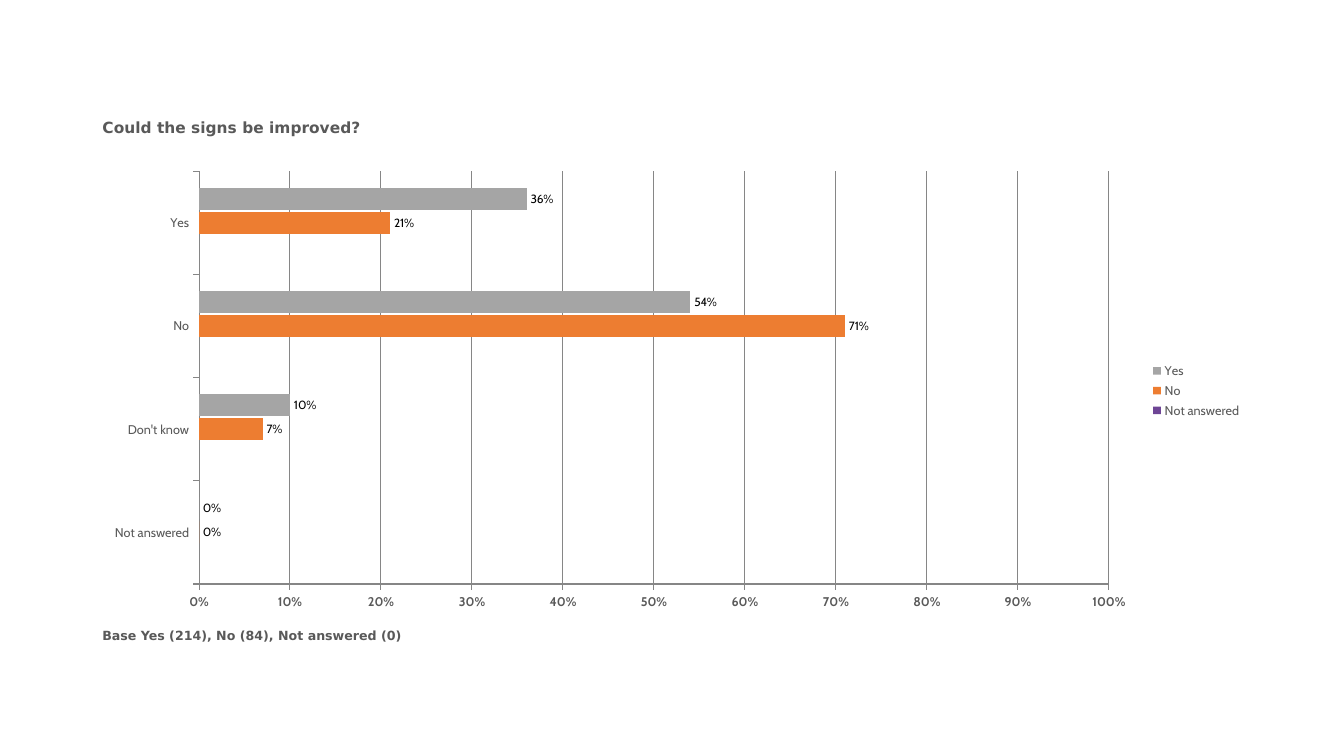
from pptx import Presentation
from pptx.chart.data import CategoryChartData
from pptx.dml.color import RGBColor
from pptx.enum.chart import (XL_CHART_TYPE as CHART, XL_LABEL_POSITION as LABEL_POS,
                             XL_LEGEND_POSITION as LEGEND_POS, XL_TICK_LABEL_POSITION as TICK_POS,
                             XL_TICK_MARK as TICK)
from pptx.enum.text import MSO_ANCHOR, MSO_AUTO_SIZE, PP_ALIGN
from pptx.oxml import parse_xml
from pptx.oxml.ns import nsdecls
from pptx.util import Pt

GREY = RGBColor(0x59, 0x59, 0x59)
LINE = RGBColor(0x86, 0x86, 0x86)
BLACK = RGBColor(0, 0, 0)
PURPLE = RGBColor(0x6E, 0x45, 0x95)
ORANGE = RGBColor(0xED, 0x7D, 0x31)
SILVER = RGBColor(0xA5, 0xA5, 0xA5)

# Content
TITLE = "Could the signs be improved?"
BASE = "Base Yes (214), No (84), Not answered (0)"
ANSWERS = ["Not answered", "Don't know", "No", "Yes"]
SERIES = [
    ("Not answered", PURPLE, [None, None, None, None]),
    ("No", ORANGE, [0, 0.07, 0.71, 0.21]),
    ("Yes", SILVER, [0, 0.10, 0.54, 0.36]),
]

# Layout in points; the plot area is in fractions of the chart
LEFT, WIDTH = 66, 828
TITLE_TOP, TITLE_H = 80.6, 36.7
CHART_TOP, CHART_H = 116, 326
BASE_TOP, BASE_H = 445, 31
PLOT = {"x": 0.092, "y": 0.02, "w": 0.785, "h": 0.904}


def set_font(font, size, color=GREY, name="Cabin", bold=False):
    font.size, font.name, font.bold = Pt(size), name, bold
    font.color.rgb = color


def write(sp, text, top, height, size):
    sp.left, sp.top, sp.width, sp.height = Pt(LEFT), Pt(top), Pt(WIDTH), Pt(height)
    tf = sp.text_frame
    tf.word_wrap = True
    tf.auto_size = MSO_AUTO_SIZE.NONE
    tf.vertical_anchor = MSO_ANCHOR.TOP
    p = tf.paragraphs[0]
    p.alignment = PP_ALIGN.LEFT
    r = p.add_run()
    r.text = text
    set_font(r.font, size, name="DejaVu Sans", bold=True)


prs = Presentation()
prs.slide_width, prs.slide_height = Pt(960), Pt(540)
slide = prs.slides.add_slide(prs.slide_layouts[5])

# Title and base line
write(slide.shapes.title, TITLE, TITLE_TOP, TITLE_H, 11)
write(slide.shapes.add_textbox(0, 0, 0, 0), BASE, BASE_TOP, BASE_H, 9)

# Chart
data = CategoryChartData(number_format="0%")
data.categories = ANSWERS
for name, _, values in SERIES:
    data.add_series(name, values)
chart = slide.shapes.add_chart(CHART.BAR_CLUSTERED, Pt(LEFT), Pt(CHART_TOP),
                               Pt(WIDTH), Pt(CHART_H), data).chart
chart.has_title = False
set_font(chart.font, 18, BLACK, "Calibri")

# Bars and their labels
plot = chart.plots[0]
plot.gap_width, plot.overlap = 150, -10
plot.vary_by_categories = False
for series, (_, color, _) in zip(plot.series, SERIES):
    series.format.fill.solid()
    series.format.fill.fore_color.rgb = color
    labels = series.data_labels
    labels.show_value = True
    labels.position = LABEL_POS.OUTSIDE_END
    labels.number_format, labels.number_format_is_linked = "0%", False
    set_font(labels.font, 8.5, BLACK)

# Axes
answers, share = chart.category_axis, chart.value_axis
for axis in (answers, share):
    axis.tick_label_position = TICK_POS.LOW
    axis.major_tick_mark, axis.minor_tick_mark = TICK.OUTSIDE, TICK.NONE
    axis.format.line.color.rgb = LINE
    axis.format.line.width = Pt(0.75)
    set_font(axis.tick_labels.font, 9, bold=axis is share)
share.minimum_scale, share.maximum_scale, share.major_unit = 0, 1, 0.1
share.tick_labels.number_format = "0%"
share.tick_labels.number_format_is_linked = False
share.has_major_gridlines = True
share.major_gridlines.format.line.color.rgb = LINE
share.major_gridlines.format.line.width = Pt(0.75)

# Legend
chart.has_legend = True
chart.legend.position = LEGEND_POS.RIGHT
chart.legend.include_in_layout = False
set_font(chart.legend.font, 9)

# Fixed plot area
area = chart._chartSpace.chart.plotArea
for old in area.findall("{*}layout"):
    area.remove(old)
sizes = "".join(f'<c:{key} val="{value}"/>' for key, value in PLOT.items())
area.insert(0, parse_xml(
    f'<c:layout {nsdecls("c")}><c:manualLayout><c:layoutTarget val="inner"/>'
    f'<c:xMode val="edge"/><c:yMode val="edge"/>{sizes}</c:manualLayout></c:layout>'))

prs.save("out.pptx")
